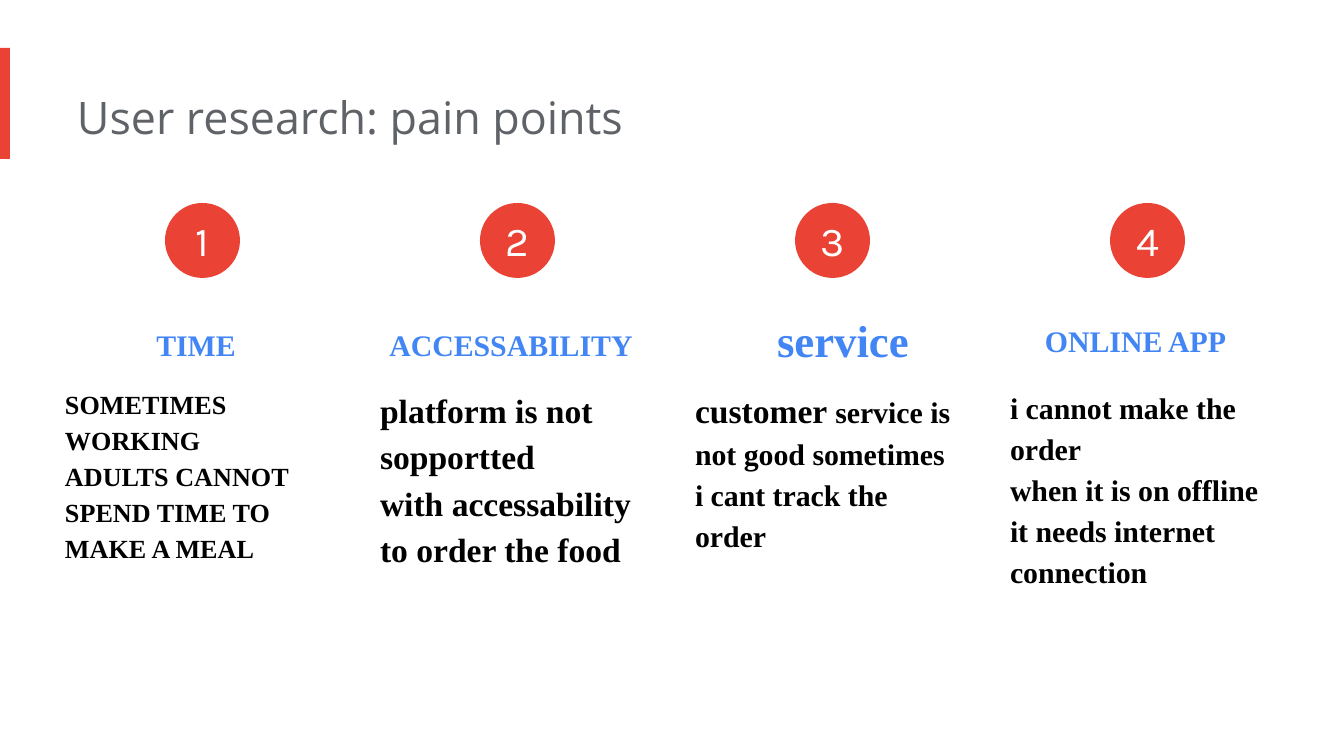
import pptx
import pptx.util
import pptx.dml.color
import pptx.enum.shapes
import pptx.enum.text

ALIGN = pptx.enum.text.PP_ALIGN
ANCHOR = pptx.enum.text.MSO_ANCHOR
SHAPE = pptx.enum.shapes.MSO_SHAPE


def px(n):
    """Turn picture pixels into EMU."""
    return pptx.util.Emu(round(n * 914400 / 134.4))


def rgb(value):
    """Turn a hex string into a colour."""
    return pptx.dml.color.RGBColor.from_string(value)


class Deck:
    """Hold the style and the current slide."""

    RED, BLUE, GREY, BLACK, WHITE = "EA4335", "4285F4", "5F6368", "000000", "FFFFFF"
    SERIF, SANS, DIGITS = "Times New Roman", "Open Sans", "Karla"

    def __init__(self, width, height):
        """Start a deck with one title slide."""
        self.prs = pptx.Presentation()
        self.prs.slide_width, self.prs.slide_height = px(width), px(height)
        self.s = self.prs.slides.add_slide(self.prs.slide_layouts[5])

    def frame(self, tf, insets, anchor=ANCHOR.TOP, wrap=True, grow=True):
        """Set the margins and fitting of a text frame."""
        tf.margin_left, tf.margin_top, tf.margin_right, tf.margin_bottom = map(px, insets)
        tf.vertical_anchor = anchor
        tf.word_wrap = wrap
        size = pptx.enum.text.MSO_AUTO_SIZE
        tf.auto_size = size.SHAPE_TO_FIT_TEXT if grow else size.NONE

    def add_runs(self, tf, paragraphs, font, color, bold=False, align=ALIGN.LEFT, spacing=1.0):
        """Add paragraphs given as lists of text and size."""
        for i, runs in enumerate(paragraphs):
            p = tf.add_paragraph() if i else tf.paragraphs[0]
            p.alignment, p.line_spacing = align, spacing
            for text, size in runs:
                r = p.add_run()
                r.text = text
                r.font.name, r.font.size, r.font.bold = font, pptx.util.Pt(size), bold
                r.font.color.rgb = rgb(color)

    def title(self, box, text):
        """Fill and place the title placeholder."""
        sp = self.s.shapes.title
        sp.left, sp.top, sp.width, sp.height = map(px, box)
        self.frame(sp.text_frame, (0, 13, 13, 13))
        self.add_runs(sp.text_frame, [[(text, 24)]], self.SANS, self.GREY)

    def text(self, box, paragraphs, color, insets=(0, 13, 13, 13), wrap=True, **style):
        """Add a bold serif text box."""
        sp = self.s.shapes.add_textbox(*map(px, box))
        self.frame(sp.text_frame, insets, wrap=wrap)
        self.add_runs(sp.text_frame, paragraphs, self.SERIF, color, bold=True, **style)

    def shape(self, kind, box):
        """Add a plain red shape."""
        sp = self.s.shapes.add_shape(kind, *map(px, box))
        sp.shadow.inherit = False
        sp.fill.solid()
        sp.fill.fore_color.rgb = rgb(self.RED)
        sp.line.fill.background()
        return sp

    def badge(self, box, number):
        """Add a numbered circle."""
        tf = self.shape(SHAPE.OVAL, box).text_frame
        self.frame(tf, (0, 0, 0, 0), ANCHOR.MIDDLE, grow=False)
        self.add_runs(tf, [[(str(number), 22)]], self.DIGITS, self.WHITE, align=ALIGN.CENTER)


LEFT, PITCH, WIDTH = 65, 315, 275
centered = dict(align=ALIGN.CENTER, spacing=1.5)
inset = dict(insets=(13, 7, 13, 7))
pain_points = [
    ("TIME", 16, (0, 296, WIDTH, 81), centered, 208,
     [[("SOMETIMES WORKING ", 14)], [("ADULTS CANNOT ", 14)],
      [("SPEND TIME TO MAKE A MEAL", 14)]]),
    ("ACCESSABILITY", 16, (0, 296, WIDTH, 81), centered, 214,
     [[("platform is not sopportted", 18)],
      [("with accessability to order the food", 18)]]),
    ("service", 24, (69, 306, 159, 67), dict(inset, wrap=False), 198,
     [[("customer ", 18), ("service is not good sometimes i cant track the order", 16)]]),
    ("ONLINE APP", 16, (22, 316, 231, 50), inset, 234,
     [[("i cannot make the order", 16)],
      [("when it is on offline it needs internet connection", 16)]]),
]

deck = Deck(1344, 756)
deck.shape(SHAPE.RECTANGLE, (0, 48, 10, 111))
deck.title((77, 77, 905, 82), "User research: pain points")
for i, (heading, size, (dx, y, w, h), style, height, body) in enumerate(pain_points):
    x = LEFT + i * PITCH
    deck.badge((x + 100, 203, 75, 75), i + 1)
    deck.text((x + dx, y, w, h), [[(heading, size)]], deck.BLUE, **style)
    deck.text((x, 371, WIDTH, height), body, deck.BLACK, spacing=1.15)
deck.prs.save("out.pptx")
